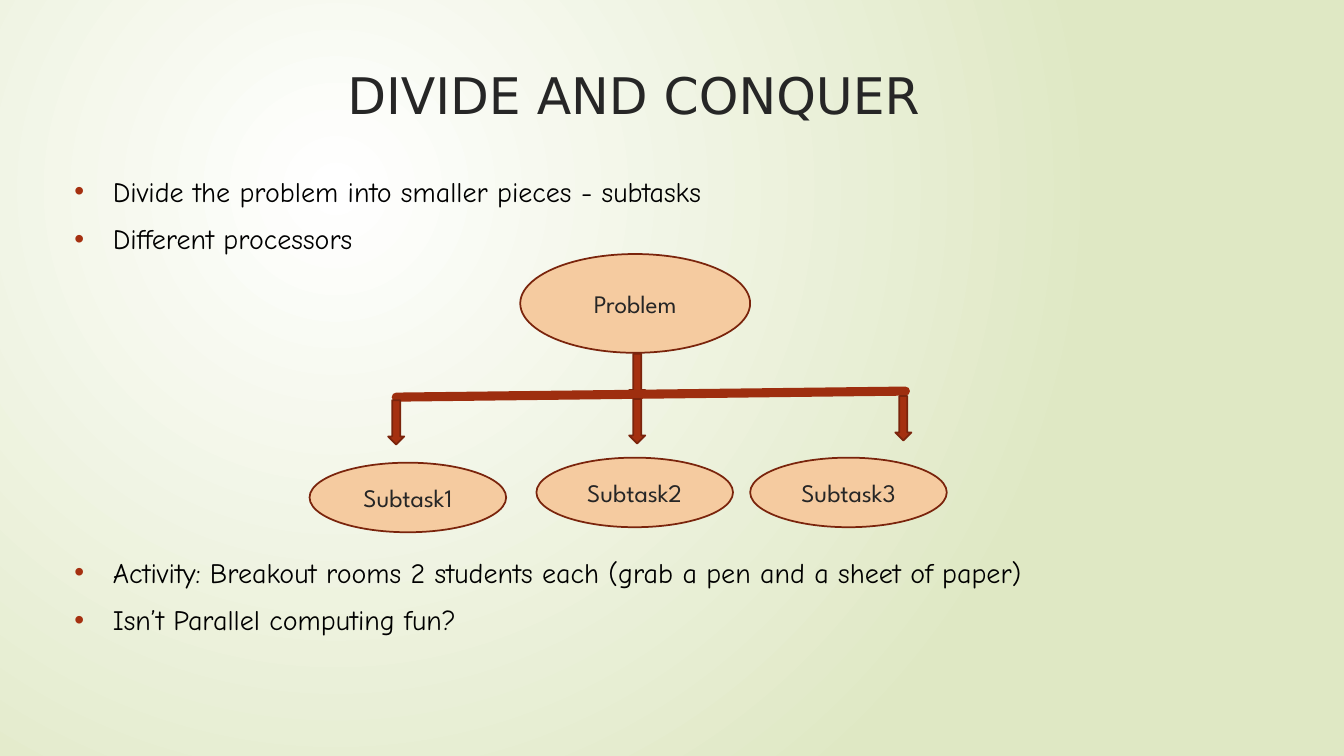
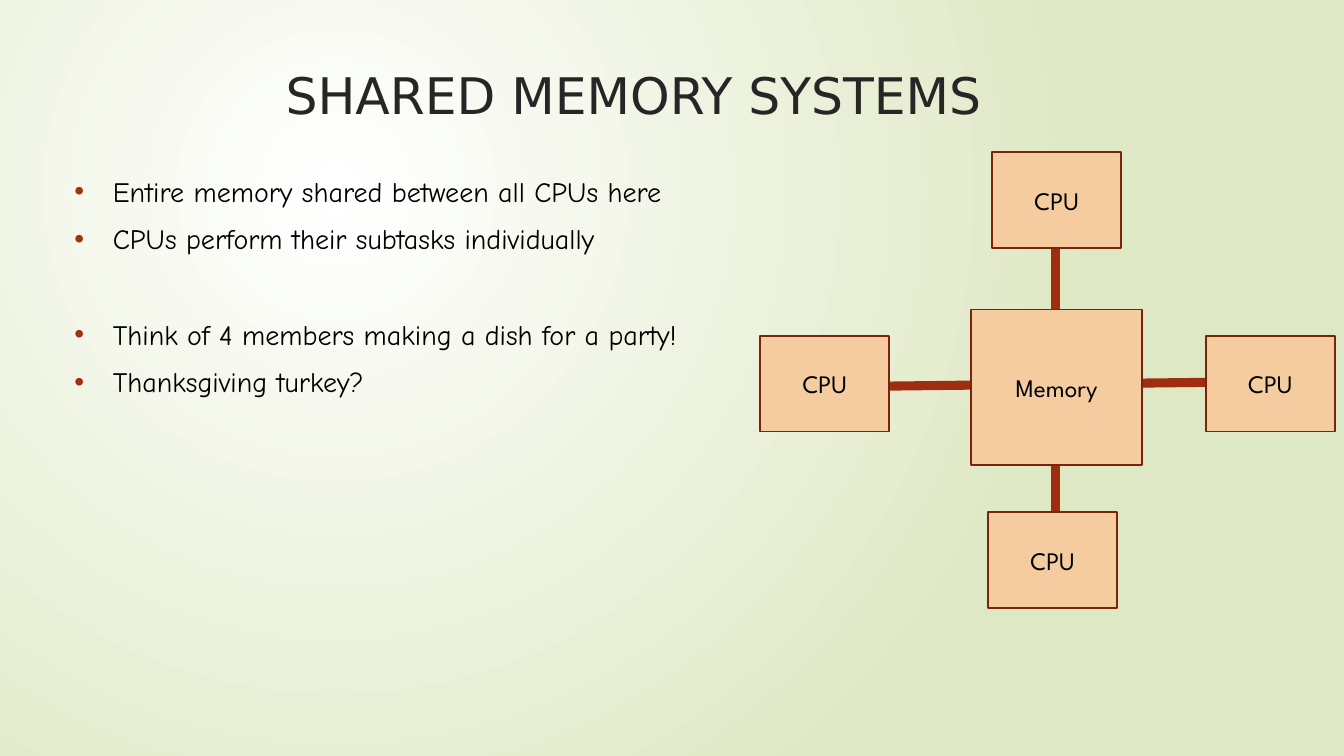
from lxml import etree
from pptx import Presentation
from pptx.dml.color import RGBColor
from pptx.enum.shapes import MSO_CONNECTOR, MSO_SHAPE
from pptx.enum.text import MSO_ANCHOR, PP_ALIGN
from pptx.oxml import parse_xml
from pptx.oxml.ns import nsdecls, qn
from pptx.util import Inches, Pt

# Shared style
BACKDROP = ("FFFFFF", "DFE8C4")
DARK, BLACK = "262626", "000000"
ACCENT, OUTLINE, BAR, PEACH = "A53010", "7A240C", "9E2E0F", "F5CBA0"
TITLE_FONT, BODY_FONT, LABEL_FONT = "DejaVu Sans", "Comic Neue", "League Spartan"
LINE_STEP = 34  # points from one bullet to the next
BULLET_GAP = 10

# Divide and conquer: bullets are (text, lines left free above)
DIVIDE_TITLE = "DIVIDE AND CONQUER"
DIVIDE_BULLETS = [
    ("Divide the problem into smaller pieces - subtasks", 0),
    ("Different processors", 0),
    ("Activity: Breakout rooms 2 students each (grab a pen and a sheet of paper)", 6),
    ("Isn’t Parallel computing fun?", 0),
]
TASKS = [
    ("Problem", (5.16, 2.52, 2.28, 0.98)),
    ("Subtask1", (3.07, 4.59, 1.95, 0.69)),
    ("Subtask2", (5.32, 4.54, 1.95, 0.69)),
    ("Subtask3", (7.44, 4.54, 1.95, 0.69)),
]
ARROW_SIZE = (0.16, 0.44)
TRUNK_ARROW = (6.24, 3.51)
BRANCH_ARROWS = [(3.85, 3.97), (6.24, 3.96), (8.88, 3.93)]
BRANCH_BAR = ((3.93, 3.94), (8.98, 3.88))

# Shared memory
MEMORY_TITLE = "SHARED MEMORY SYSTEMS"
MEMORY_BULLETS = [
    ("Entire memory shared between all CPUs here", 0),
    ("CPUs perform their subtasks individually", 0),
    ("Think of 4 members making a dish for a party!", 1),
    ("Thanksgiving turkey?", 0),
]
BUSES = [((10.47, 5.32), (10.47, 2.18)), ((8.02, 3.84), (13.07, 3.78))]
MEMORY_BOX = (9.63, 3.07, 1.7, 1.54)
CPU_SIZE = (1.28, 0.95)
CPU_PLACES = [(7.54, 3.33), (11.96, 3.33), (9.8, 5.08), (9.84, 1.51)]


def color(value):
    return RGBColor.from_string(value)


def inches(values):
    return [Inches(value) for value in values]


def style_text(para, font, size, text_color):
    for span in para.runs:
        span.font.name = font
        span.font.size = Pt(size)
        span.font.color.rgb = color(text_color)


def set_backdrop(master):
    """Give every slide the round gradient, centred towards the upper left."""
    master.background.fill.solid()
    holder = master.element.find(".//" + qn("p:bgPr"))
    stops = "".join(
        f'<a:gs pos="{place}"><a:srgbClr val="{value}"/></a:gs>'
        for place, value in zip((0, 100000), BACKDROP))
    gradient = parse_xml(
        f'<a:gradFill {nsdecls("a")} rotWithShape="1"><a:gsLst>{stops}</a:gsLst>'
        '<a:path path="circle"><a:fillToRect l="50000" t="50000" r="100000" '
        'b="100000"/></a:path></a:gradFill>')
    holder.replace(holder.find(qn("a:solidFill")), gradient)


def add_text_box(page, place):
    box = page.shapes.add_textbox(*inches(place))
    box.text_frame.word_wrap = True
    return box.text_frame


def add_page(deck, title):
    page = deck.slides.add_slide(deck.slide_layouts[6])
    frame = add_text_box(page, (1.41, 0.59, 9.75, 1.4))
    frame.text = title
    para = frame.paragraphs[0]
    para.alignment = PP_ALIGN.CENTER
    style_text(para, TITLE_FONT, 36, DARK)
    return page


def add_bullets(page, bullets, size):
    frame = add_text_box(page, (0.64, 1.68, *size))
    for index, (text, free_lines) in enumerate(bullets):
        para = frame.add_paragraph() if index else frame.paragraphs[0]
        para.text = text
        para.space_before = Pt(BULLET_GAP + free_lines * LINE_STEP)
        style_text(para, BODY_FONT, 20, BLACK)
        props = para._p.get_or_add_pPr()
        props.set("marL", str(Inches(0.38)))
        props.set("indent", str(-Inches(0.38)))
        mark = etree.SubElement(props, qn("a:buClr"))
        etree.SubElement(mark, qn("a:srgbClr"), val=ACCENT)
        etree.SubElement(props, qn("a:buFont"), typeface="Arial")
        etree.SubElement(props, qn("a:buChar"), char="•")


def add_shape(page, kind, place, fill, label="", text_color=DARK):
    shape = page.shapes.add_shape(kind, *inches(place))
    shape.shadow.inherit = False
    shape.fill.solid()
    shape.fill.fore_color.rgb = color(fill)
    shape.line.color.rgb = color(OUTLINE)
    shape.line.width = Pt(1.25)
    if label:
        frame = shape.text_frame
        frame.text = label
        frame.vertical_anchor = MSO_ANCHOR.MIDDLE
        para = frame.paragraphs[0]
        para.alignment = PP_ALIGN.CENTER
        style_text(para, LABEL_FONT, 18, text_color)


def add_bar(page, start, end):
    bar = page.shapes.add_connector(
        MSO_CONNECTOR.STRAIGHT, *inches(start), *inches(end))
    bar.line.color.rgb = color(BAR)
    bar.line.width = Pt(6.5)
    bar.get_or_add_ln().set("cap", "rnd")
    etree.SubElement(bar._element.spPr, qn("a:effectLst"))


def build_divide(deck):
    page = add_page(deck, DIVIDE_TITLE)
    add_bullets(page, DIVIDE_BULLETS, (11.45, 5.37))
    for label, place in TASKS:
        add_shape(page, MSO_SHAPE.OVAL, place, PEACH, label)
    # The trunk lies behind the bar, the branches in front of it
    add_shape(page, MSO_SHAPE.DOWN_ARROW, TRUNK_ARROW + ARROW_SIZE, ACCENT)
    add_bar(page, *BRANCH_BAR)
    for corner in BRANCH_ARROWS:
        add_shape(page, MSO_SHAPE.DOWN_ARROW, corner + ARROW_SIZE, ACCENT)


def build_memory(deck):
    page = add_page(deck, MEMORY_TITLE)
    add_bullets(page, MEMORY_BULLETS, (9.75, 4.13))
    # Buses run behind the boxes
    for start, end in BUSES:
        add_bar(page, start, end)
    add_shape(page, MSO_SHAPE.RECTANGLE, MEMORY_BOX, PEACH, "Memory", BLACK)
    for corner in CPU_PLACES:
        add_shape(page, MSO_SHAPE.RECTANGLE, corner + CPU_SIZE, PEACH, "CPU", BLACK)


def main():
    deck = Presentation()
    deck.slide_width, deck.slide_height = inches((13.33, 7.5))
    set_backdrop(deck.slide_master)
    build_divide(deck)
    build_memory(deck)
    deck.save("out.pptx")


if __name__ == "__main__":
    main()
